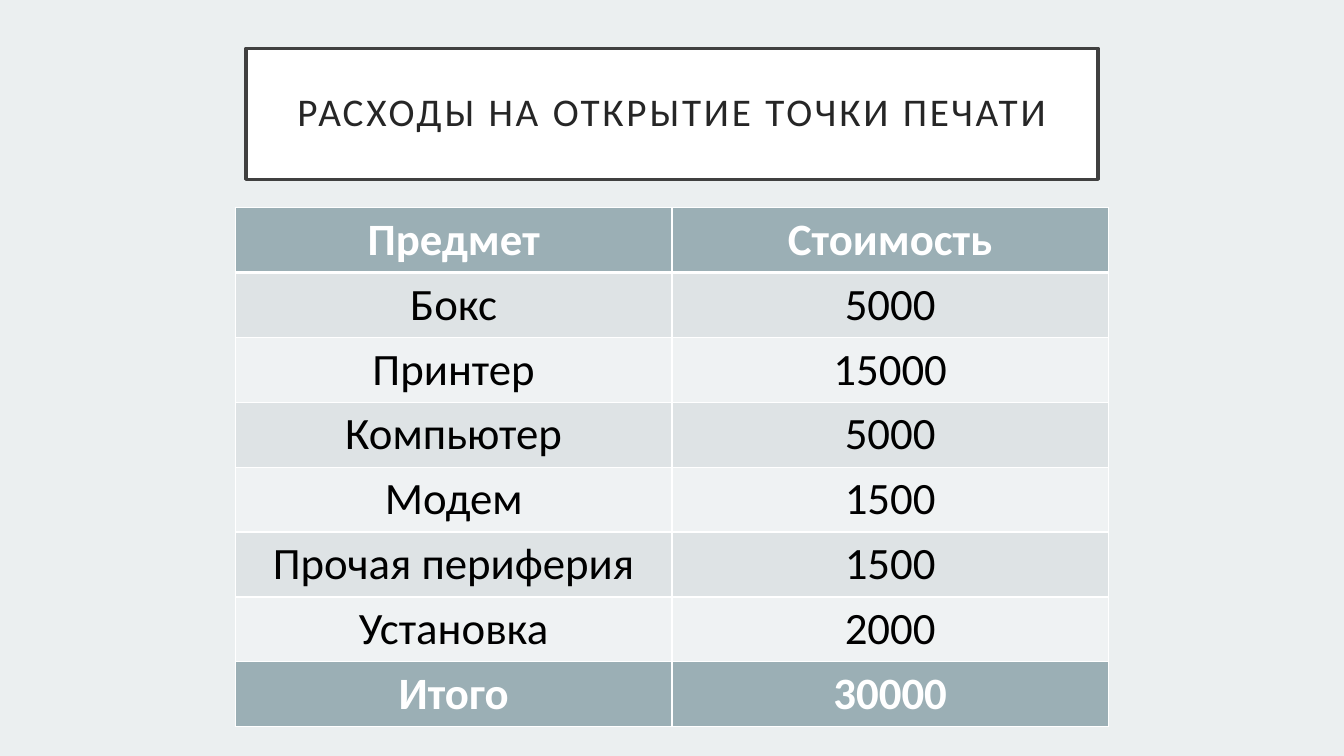
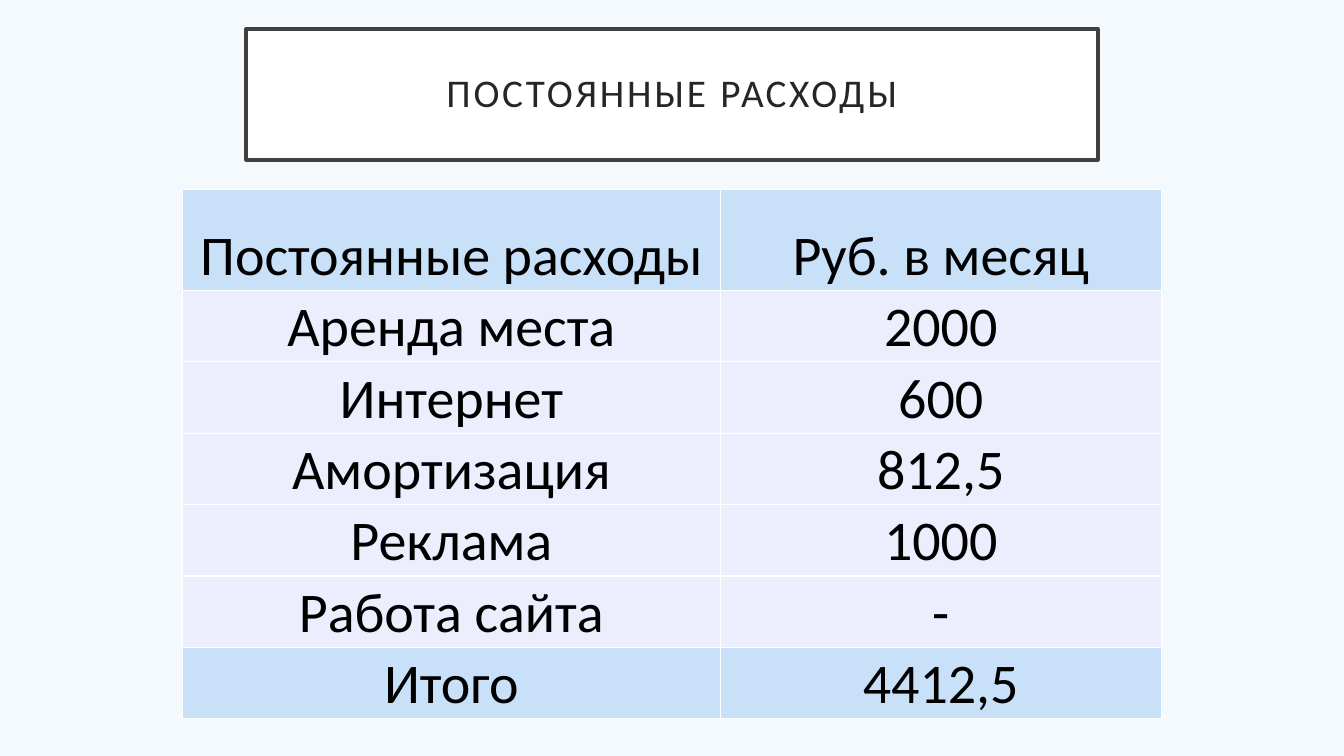
import pptx
import pptx.util
import pptx.dml.color
import pptx.enum.shapes
import pptx.enum.text
import pptx.oxml
import pptx.oxml.ns

Pt = pptx.util.Pt
RGBColor = pptx.dml.color.RGBColor
PP_ALIGN = pptx.enum.text.PP_ALIGN
MSO_ANCHOR = pptx.enum.text.MSO_ANCHOR

# Shared style
FONT = "Calibri"
WHITE = RGBColor(0xFF, 0xFF, 0xFF)
BLACK = RGBColor(0x00, 0x00, 0x00)
TITLE_TEXT = RGBColor(0x26, 0x26, 0x26)
TITLE_FRAME = RGBColor(0x40, 0x40, 0x40)

# Opening costs palette
MIST = RGBColor(0xEB, 0xEF, 0xF0)
STEEL = RGBColor(0x9B, 0xAF, 0xB5)
BAND_DARK = RGBColor(0xDE, 0xE3, 0xE5)
BAND_LIGHT = RGBColor(0xEF, 0xF2, 0xF3)

# Fixed costs palette
ICE = RGBColor(0xF4, 0xF9, 0xFE)
SKY = RGBColor(0xC8, 0xE1, 0xF8)
LAVENDER = RGBColor(0xEC, 0xEE, 0xFE)

SLIDE_WIDTH = 960
TITLE_WIDTH, TITLE_HEIGHT = 608.4, 93.6

# Margins are left, top, right, bottom; the first and last rows are accented
pages = [
    dict(
        title="РАСХОДЫ НА ОТКРЫТИЕ ТОЧКИ ПЕЧАТИ", title_top=34.5,
        background=MIST, accent=STEEL, bands=(BAND_DARK, BAND_LIGHT),
        accent_text=WHITE, accent_bold=True, size=32,
        anchor=MSO_ANCHOR.TOP, margins=(7.2, 3.6, 7.2, 3.6),
        table_top=148.3, columns=(311.8, 311.8), header_height=46,
        row_height=46, header_rule=3,
        rows=[
            ("Предмет", "Стоимость"),
            ("Бокс", "5000"),
            ("Принтер", "15000"),
            ("Компьютер", "5000"),
            ("Модем", "1500"),
            ("Прочая периферия", "1500"),
            ("Установка", "2000"),
            ("Итого", "30000"),
        ],
    ),
    dict(
        title="ПОСТОЯННЫЕ РАСХОДЫ", title_top=20.6,
        background=ICE, accent=SKY, bands=(LAVENDER,),
        accent_text=BLACK, accent_bold=False, size=40,
        anchor=MSO_ANCHOR.BOTTOM, margins=(0.7, 0.7, 0.7, 0),
        table_top=135.4, columns=(384, 315.2), header_height=72,
        row_height=51, header_rule=1,
        rows=[
            ("Постоянные расходы", "Руб. в месяц"),
            ("Аренда места", "2000"),
            ("Интернет", "600"),
            ("Амортизация", "812,5"),
            ("Реклама", "1000"),
            ("Работа сайта", "-"),
            ("Итого", "4412,5"),
        ],
    ),
]


def add_run(paragraph, text, size, color, bold=False):
    paragraph.alignment = PP_ALIGN.CENTER
    run = paragraph.add_run()
    run.text = text
    run.font.name = FONT
    run.font.size = Pt(size)
    run.font.bold = bold
    run.font.color.rgb = color
    return run


def add_borders(cell, widths):
    """Draw white cell borders; widths are left, right, top, bottom."""
    properties = cell._tc.get_or_add_tcPr()
    for position, (side, width) in enumerate(zip("LRTB", widths)):
        border = pptx.oxml.parse_xml(
            f'<a:ln{side} {pptx.oxml.ns.nsdecls("a")} w="{Pt(width)}">'
            f'<a:solidFill><a:srgbClr val="{WHITE}"/></a:solidFill></a:ln{side}>')
        properties.insert(position, border)


deck = pptx.Presentation()
deck.slide_width, deck.slide_height = Pt(SLIDE_WIDTH), Pt(540)

for page in pages:
    slide = deck.slides.add_slide(deck.slide_layouts[6])
    slide.background.fill.solid()
    slide.background.fill.fore_color.rgb = page["background"]

    # Framed title
    title = slide.shapes.add_shape(
        pptx.enum.shapes.MSO_SHAPE.RECTANGLE,
        Pt((SLIDE_WIDTH - TITLE_WIDTH) / 2), Pt(page["title_top"]),
        Pt(TITLE_WIDTH), Pt(TITLE_HEIGHT))
    title.shadow.inherit = False
    title.fill.solid()
    title.fill.fore_color.rgb = WHITE
    title.line.color.rgb = TITLE_FRAME
    title.line.width = Pt(2.5)
    frame = title.text_frame
    frame.word_wrap = True
    frame.vertical_anchor = MSO_ANCHOR.MIDDLE
    frame.margin_left = frame.margin_right = Pt(14.4)
    frame.margin_top = frame.margin_bottom = Pt(14.4)
    frame.paragraphs[0].line_spacing = 0.9
    heading = add_run(frame.paragraphs[0], page["title"], 28, TITLE_TEXT)
    heading.font._element.set("spc", "200")

    # Cost table, centred on the slide
    rows, columns = page["rows"], page["columns"]
    last = len(rows) - 1
    heights = [page["header_height"]] + [page["row_height"]] * last
    costs = slide.shapes.add_table(
        len(rows), len(columns),
        Pt((SLIDE_WIDTH - sum(columns)) / 2), Pt(page["table_top"]),
        Pt(sum(columns)), Pt(sum(heights))).table
    for column, width in zip(costs.columns, columns):
        column.width = Pt(width)

    for r, entries in enumerate(rows):
        costs.rows[r].height = Pt(heights[r])
        accented = r in (0, last)
        bands = page["bands"]
        fill = page["accent"] if accented else bands[(r - 1) % len(bands)]
        color = page["accent_text"] if accented else BLACK
        top = page["header_rule"] if r == 1 else 1
        bottom = page["header_rule"] if r == 0 else 1
        for c, text in enumerate(entries):
            cell = costs.cell(r, c)
            cell.fill.solid()
            cell.fill.fore_color.rgb = fill
            cell.vertical_anchor = page["anchor"]
            (cell.margin_left, cell.margin_top, cell.margin_right,
             cell.margin_bottom) = [Pt(margin) for margin in page["margins"]]
            add_borders(cell, (1, 1, top, bottom))
            add_run(cell.text_frame.paragraphs[0], text, page["size"], color,
                    accented and page["accent_bold"])

deck.save("out.pptx")
